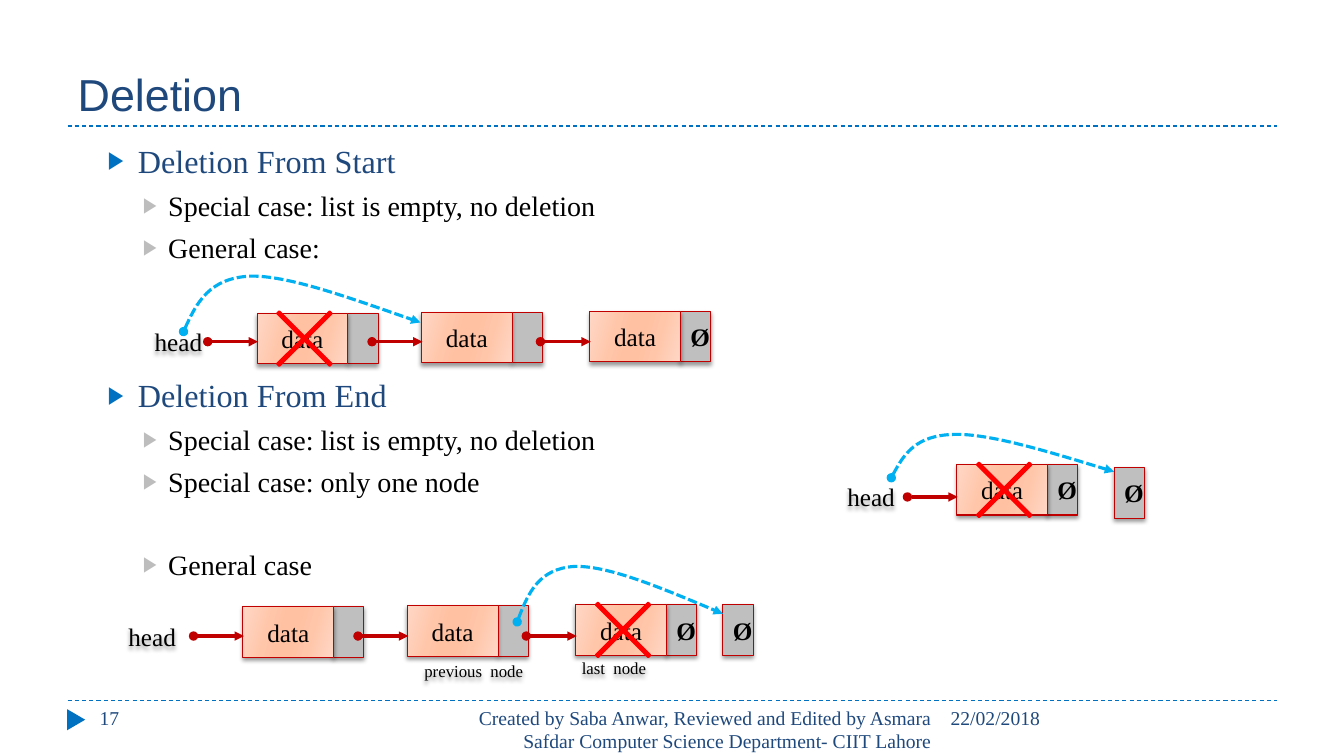
from lxml.etree import SubElement
from pptx import Presentation
from pptx.dml.color import RGBColor
from pptx.enum.dml import MSO_LINE as Dash
from pptx.enum.shapes import MSO_CONNECTOR as Link, MSO_SHAPE as Preset
from pptx.enum.text import MSO_ANCHOR as Anchor, PP_ALIGN as Align
from pptx.oxml.ns import qn
from pptx.util import Inches, Pt

COLORS = {
    "navy": "1F497D", "blue": "0070C0", "sky": "00B0F0", "crimson": "C00000",
    "red": "FF0000", "gray": "BFBFBF", "silver": "BDBDBD", "black": "000000",
}
PEACH = [(0, "FFD7C5"), (30, "FFC6AA"), (45, "FFC1A1"),
         (55, "FFC1A1"), (73, "FFC6AA"), (100, "FFD7C5")]
ARC = [(0.05, 0.49), (0.11, 0.97), (0.28, 1), (0.44, 1.02), (0.72, 0.58)]
SERIF = "Times New Roman"
NULL = "\u00d8"


def rgb(name):
    return RGBColor.from_string(COLORS[name])


def inches(*values):
    return [Inches(round(value, 2)) for value in values]


def apply(target, formats):
    for name, value in formats.items():
        setattr(target, name, value)


def add_child(parent, tag, **attributes):
    return SubElement(parent, qn(tag), {key: str(value) for key, value in attributes.items()})


def write(para, text, color="black", size=18, font=SERIF, bold=False, align=Align.CENTER):
    para.alignment = align
    span = para.add_run()
    span.text = text
    apply(span.font, {"name": font, "size": Pt(size), "bold": bold})
    span.font.color.rgb = rgb(color)


def add_text(page, box, text, anchor=Anchor.MIDDLE, **style):
    shape = page.shapes.add_textbox(*inches(*box))
    apply(shape.text_frame, {"word_wrap": True, "vertical_anchor": anchor})
    write(shape.text_frame.paragraphs[0], text, **style)
    return shape


def cast_shadow(shape):
    shape.shadow.inherit = False
    effects = shape.element.spPr.find(qn("a:effectLst"))
    shadow = add_child(effects, "a:outerShdw", blurRad=Pt(3), dist=Pt(2),
                       dir=5400000, rotWithShape=0)
    add_child(add_child(shadow, "a:srgbClr", val=COLORS["black"]), "a:alpha", val=40000)


def add_shape(page, preset, box, fill, line=None, width=0.75):
    shape = page.shapes.add_shape(preset, *inches(*box))
    shape.shadow.inherit = False
    shape.fill.solid()
    shape.fill.fore_color.rgb = rgb(fill)
    if line:
        shape.line.color.rgb = rgb(line)
        shape.line.width = Pt(width)
    else:
        shape.line.fill.background()
    return shape


def add_arrowheads(shape):
    outline = shape.element.spPr.find(qn("a:ln"))
    add_child(outline, "a:headEnd", type="oval")
    add_child(outline, "a:tailEnd", type="triangle")


def add_line(page, start, end, color, width):
    link = page.shapes.add_connector(Link.STRAIGHT, *inches(*start, *end))
    link.line.color.rgb = rgb(color)
    link.line.width = Pt(width)
    add_child(link.element.spPr, "a:effectLst")
    return link


def add_pointer(page, left, top):
    add_arrowheads(add_line(page, (left, top), (left + 0.5, top), "crimson", 2.25))


def add_arc(page, start, end, rise):
    (left, top), (right, _) = start, end
    points = [inches(left + x * (right - left), top - y * rise) for x, y in ARC]
    builder = page.shapes.build_freeform(*inches(*start), scale=1.0)
    builder.add_line_segments(points + [inches(*end)], close=False)
    arc = builder.convert_to_shape()
    arc.shadow.inherit = False
    arc.fill.background()
    apply(arc.line, {"width": Pt(2.25), "dash_style": Dash.SQUARE_DOT})
    arc.line.color.rgb = rgb("sky")
    add_arrowheads(arc)
    segments = list(arc.element.iter(qn("a:lnTo")))
    outline = segments[0].getparent()
    for index in range(0, len(segments), 3):
        curve = add_child(outline, "a:cubicBezTo")
        for segment in segments[index:index + 3]:
            curve.append(segment[0])
            outline.remove(segment)


def add_cell(page, box, text="", bold=False):
    cell = add_shape(page, Preset.RECTANGLE, box, "gray", "crimson")
    cast_shadow(cell)
    if text:
        write(cell.text_frame.paragraphs[0], text, bold=bold)
    return cell


def add_node(page, box, last):
    left, top, width, height = box
    add_cell(page, (left + width, top, 0.3, height), NULL if last else "", True)
    data = add_cell(page, box, "data")
    data.fill.gradient()
    data.fill.gradient_angle = 344
    stops = next(data.element.iter(qn("a:gsLst")))
    stops.clear()
    for position, color in PEACH:
        add_child(add_child(stops, "a:gs", pos=position * 1000), "a:srgbClr", val=color)


def draw_list(page, box, first, offsets, drop, crossed, arc, spare=None):
    left, top, _, height = box
    cast_shadow(add_text(page, (left, top + drop - 0.15, 0.7, 0.3), "head"))
    for index, offset in enumerate(offsets):
        node_left, node_top = left + first + offset, top - 0.01 * index
        add_node(page, (node_left, node_top, 0.9, height), index == len(offsets) - 1)
        if index == crossed:
            cross = add_shape(page, Preset.MATH_MULTIPLY,
                              (node_left - 0.03, node_top - 0.25, 1, 1), "red", "red", 1.5)
            cross.adjustments[0] = 0.029
    for offset in offsets:
        add_pointer(page, left + first + offset - 0.49, top + drop)
    if spare:
        add_cell(page, (left + spare[0], top + spare[1], 0.3, height), NULL, True)
    start, end, rise = arc
    add_arc(page, (left + start[0], top + start[1]), (left + end[0], top + end[1]), rise)


def draw_title(page, box):
    title = page.shapes.title
    apply(title, dict(zip(("left", "top", "width", "height"), inches(*box))))
    title.text_frame.vertical_anchor = Anchor.BOTTOM
    write(title.text_frame.paragraphs[0], "Deletion", "navy", 32, "Arial", align=Align.LEFT)


def draw_outline(page, box, items):
    frame = page.shapes.add_textbox(*inches(*box)).text_frame
    apply(frame, {"word_wrap": True, "margin_top": Inches(0.07)})
    for index, (level, before, text) in enumerate(items):
        para = frame.add_paragraph() if index else frame.paragraphs[0]
        color, size, bullet, margin, indent = [
            ("navy", 23, "blue", 0.6, 0.3), ("black", 20, "silver", 0.9, 0.25)][level]
        write(para, text, color, size, align=Align.LEFT)
        apply(para, {"level": level + 1, "space_before": Pt(before)})
        props = para._p.get_or_add_pPr()
        props.set("marL", str(Inches(margin)))
        props.set("indent", str(-Inches(indent)))
        add_child(add_child(props, "a:buClr"), "a:srgbClr", val=COLORS[bullet])
        add_child(props, "a:buSzPct", val=76000)
        add_child(props, "a:buFont", typeface="Arial")
        add_child(props, "a:buChar", char="\u25b6")


def draw_footer(page, box):
    left, top, _, height = box
    marker = add_shape(page, Preset.ISOSCELES_TRIANGLE,
                       (left - 0.02, top + 0.1, 0.21, 0.18), "blue")
    marker.rotation = 90
    credit = ("Created by Saba Anwar, Reviewed and Edited by Asmara Safdar "
              "Computer Science Department- CIIT Lahore")
    for offset, width, text, align in [(0.22, 2.89, "17", Align.LEFT),
                                       (3.56, 5.11, credit, Align.RIGHT),
                                       (8.66, 3.34, "22/02/2018", Align.LEFT)]:
        add_text(page, (left + offset, top, width, height), text, Anchor.TOP,
                 color="navy", size=14, align=align)


deck = Presentation()
apply(deck, {"slide_width": Inches(13.33), "slide_height": Inches(7.5)})
page = deck.slides.add_slide(deck.slide_layouts[5])
for top in (1.25, 6.95):
    add_line(page, (0.67, top), (12.67, top), "blue", 0.75).line.dash_style = Dash.DASH
draw_title(page, (0.67, 0.17, 12, 1.08))
draw_footer(page, (0.67, 6.95, 12, 0.4))
draw_outline(page, (0.67, 1.33, 12, 5.4), [
    (0, 0, "Deletion From Start"),
    (1, 6, "Special case: list is empty, no deletion"),
    (1, 6, "General case:"),
    (0, 80, "Deletion From End"),
    (1, 6, "Special case: list is empty, no deletion"),
    (1, 6, "Special case: only one node"),
    (1, 35, "General case"),
])
chain = (0, 1.63, 3.3)
draw_list(page, (1.42, 3.11, 5.63, 0.5), 1.13, chain, 0.28, 0,
          ((0.4, 0.18), (2.75, 0.09), 0.55))
draw_list(page, (8.29, 4.61, 3.06, 0.5), 1.2, (0,), 0.32, 0,
          ((0.55, 0.13), (2.76, 0.07), 0.43), (2.76, 0.03))
draw_list(page, (1.16, 6.02, 6.31, 0.5), 1.25, chain, 0.29, 2,
          ((3.97, 0.15), (6.01, 0.07), 0.55), (6.01, -0.02))
for left, top, label in [(5.26, 6.47, "last  node"), (3.87, 6.5, "previous  node")]:
    cast_shadow(add_text(page, (left, top, 1.66, 0.31), label, size=12))
deck.save("out.pptx")
